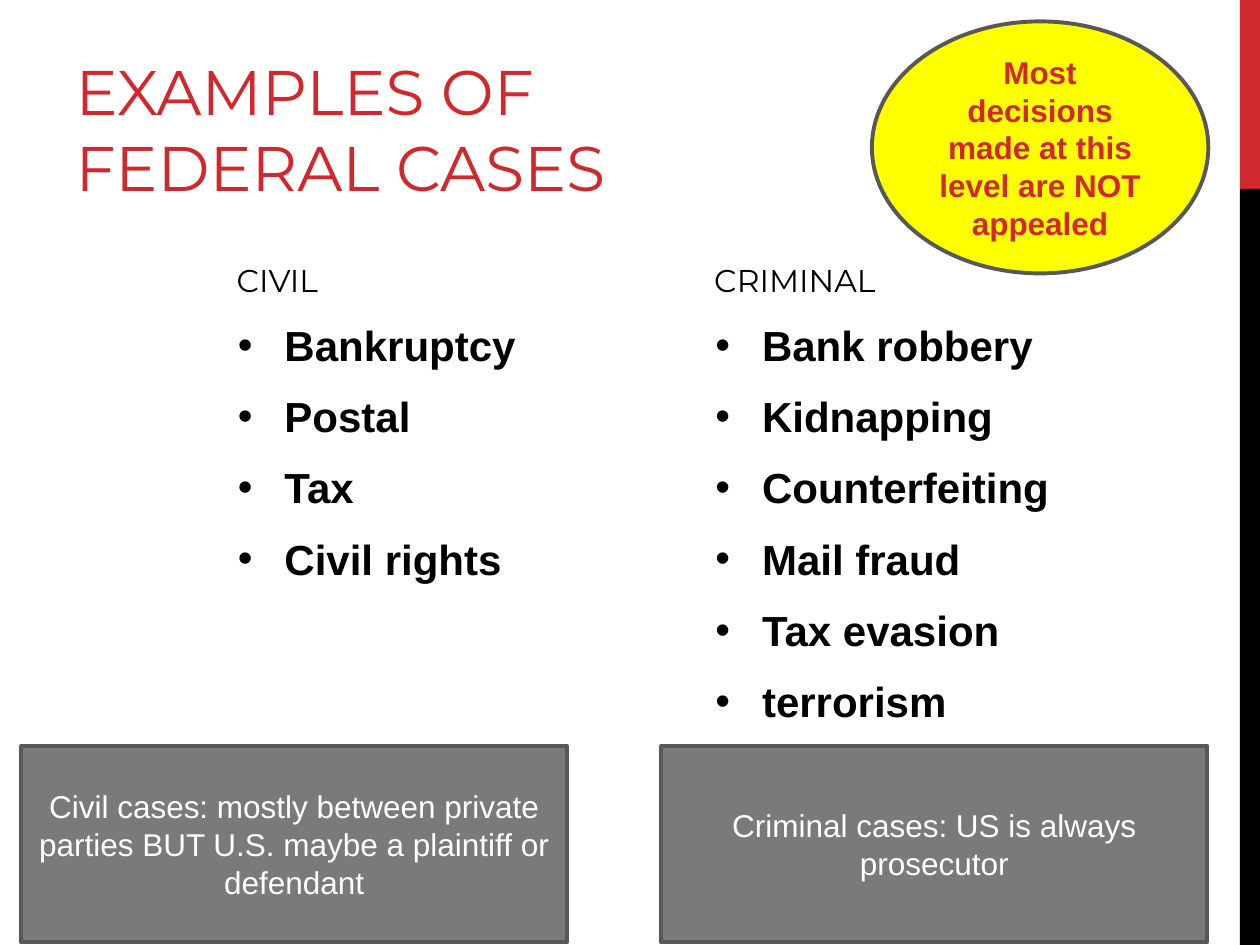
from lxml import etree
from pptx import Presentation
from pptx.dml.color import RGBColor
from pptx.enum.shapes import MSO_SHAPE
from pptx.enum.text import MSO_ANCHOR, MSO_AUTO_SIZE, PP_ALIGN
from pptx.oxml.ns import qn
from pptx.util import Inches, Pt

RED = RGBColor(0xD1, 0x28, 0x2E)
BLACK = RGBColor(0, 0, 0)
WHITE = RGBColor(0xFF, 0xFF, 0xFF)
YELLOW = RGBColor(0xFF, 0xFF, 0)
GRAY = RGBColor(0x7A, 0x7A, 0x7A)
DARK_GRAY = RGBColor(0x58, 0x58, 0x58)

prs = Presentation()
prs.slide_width, prs.slide_height = Inches(10), Inches(7.5)
s = prs.slides.add_slide(prs.slide_layouts[5])


def add_text(tf, text, size, font, color, bold=False, align=PP_ALIGN.LEFT, first=True):
    p = tf.paragraphs[0] if first else tf.add_paragraph()
    p.alignment = align
    r = p.add_run()
    r.text = text
    r.font.size, r.font.name, r.font.bold = Pt(size), font, bold
    r.font.color.rgb = color
    return p


def add_block(kind, left, top, width, height, fill, line=None):
    sp = s.shapes.add_shape(kind, Inches(left), Inches(top), Inches(width), Inches(height))
    sp.shadow.inherit = False
    sp.fill.solid()
    sp.fill.fore_color.rgb = fill
    if line is None:
        sp.line.fill.background()
    else:
        sp.line.color.rgb = line
        sp.line.width = Pt(2.25)
    sp.text_frame.word_wrap = True
    sp.text_frame.vertical_anchor = MSO_ANCHOR.MIDDLE
    return sp


# Side bar: red top fifth, black below
BAR_LEFT, BAR_SPLIT = 9.84, 7.5 / 5
for top, height, color in ((0, BAR_SPLIT, RED), (BAR_SPLIT, 7.5 - BAR_SPLIT, BLACK)):
    add_block(MSO_SHAPE.RECTANGLE, BAR_LEFT, top, 10 - BAR_LEFT, height, color)

# Title
title = s.shapes.title
title.left, title.top = Inches(0.5), Inches(0.17)
title.width, title.height = Inches(6.33), Inches(1.5)
tf = title.text_frame
tf.word_wrap = True
tf.auto_size = MSO_AUTO_SIZE.NONE
tf.vertical_anchor = MSO_ANCHOR.BOTTOM
tf.margin_right = Inches(0.3)
add_text(tf, "EXAMPLES OF FEDERAL CASES", 36, "Montserrat", RED)

# Two columns: heading, bulleted list and note box
COL_WIDTH, NOTE_WIDTH = 3.6, 4.33
columns = (
    (1.78, 0.17, "CIVIL", ("Bankruptcy", "Postal", "Tax", "Civil rights"),
     "Civil cases: mostly between private parties BUT U.S. maybe a plaintiff or defendant"),
    (5.57, 5.25, "CRIMINAL",
     ("Bank robbery", "Kidnapping", "Counterfeiting", "Mail fraud", "Tax evasion", "terrorism"),
     "Criminal cases: US is always prosecutor"),
)
for left, note_left, heading, items, note in columns:
    tf = s.shapes.add_textbox(Inches(left), Inches(1.72), Inches(COL_WIDTH), Inches(0.7)).text_frame
    tf.word_wrap = True
    tf.vertical_anchor = MSO_ANCHOR.BOTTOM
    add_text(tf, heading, 18, "Montserrat", BLACK)

    tf = s.shapes.add_textbox(Inches(left), Inches(2.47), Inches(COL_WIDTH), Inches(4.2)).text_frame
    tf.word_wrap = True
    for i, item in enumerate(items):
        p = add_text(tf, item, 24, "Arial", BLACK, bold=True, first=i == 0)
        p.line_spacing = 1.04
        p.space_before = Pt(10.8 if i else 0)
        pPr = p._p.get_or_add_pPr()
        pPr.set("marL", str(Inches(0.38)))
        pPr.set("indent", str(-Inches(0.37)))
        etree.SubElement(pPr, qn("a:buFont"), typeface="Arial")
        etree.SubElement(pPr, qn("a:buChar"), char="•")

    sp = add_block(MSO_SHAPE.RECTANGLE, note_left, 5.92, NOTE_WIDTH, 1.56, GRAY, DARK_GRAY)
    add_text(sp.text_frame, note, 18, "Arial", WHITE, align=PP_ALIGN.CENTER)

# Callout ellipse
sp = add_block(MSO_SHAPE.OVAL, 6.92, 0.17, 2.67, 2, YELLOW, DARK_GRAY)
add_text(sp.text_frame, "Most decisions made at this level are NOT appealed", 18, "Arial", RED,
         bold=True, align=PP_ALIGN.CENTER)

prs.save("out.pptx")
